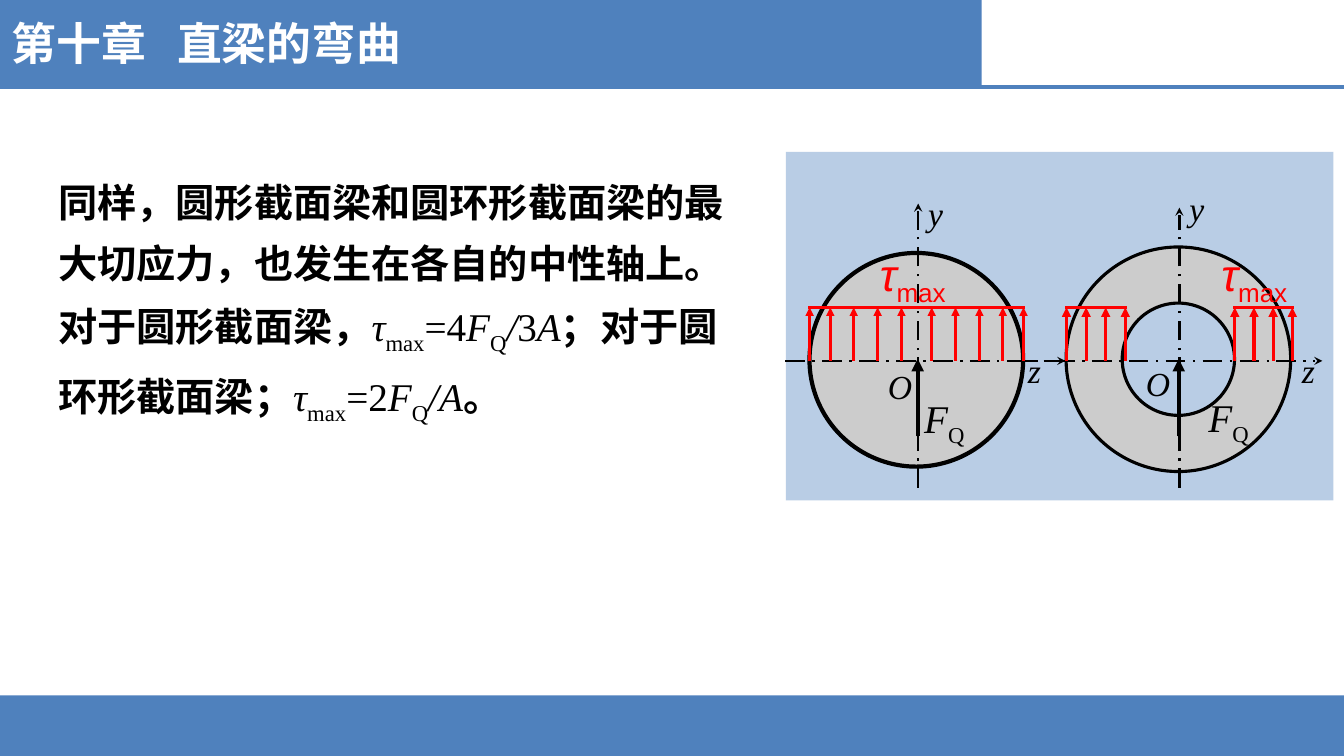
from dataclasses import dataclass

from lxml import etree
from pptx import Presentation
from pptx.dml.color import RGBColor
from pptx.enum.dml import MSO_LINE
from pptx.enum.shapes import MSO_CONNECTOR, MSO_SHAPE
from pptx.enum.text import MSO_ANCHOR, PP_ALIGN
from pptx.oxml.ns import qn
from pptx.util import Pt

RECT, OVAL, DONUT = MSO_SHAPE.RECTANGLE, MSO_SHAPE.OVAL, MSO_SHAPE.DONUT
STRAIGHT = MSO_CONNECTOR.STRAIGHT
AXIS_DASH = MSO_LINE.LONG_DASH_DOT
TOP, MIDDLE = MSO_ANCHOR.TOP, MSO_ANCHOR.MIDDLE
LEFT, JUSTIFY = PP_ALIGN.LEFT, PP_ALIGN.JUSTIFY


@dataclass(frozen=True)
class Theme:
    """Colours, fonts and type sizes of the slide."""
    blue: str = "4F81BD"
    panel: str = "B9CDE5"
    section: str = "CCCCCC"
    black: str = "000000"
    white: str = "FFFFFF"
    stress: str = "FF0000"
    cjk: str = "Noto Sans CJK SC"
    serif: str = "Times New Roman"
    sans: str = "Arial"
    title: int = 32
    body: int = 28
    axis: int = 24


T = Theme()
TAU_MAX = [("τ", "i"), ("max", "s")]
FORCE = [("F", "i"), ("Q", "s")]
BODY = [
    ("同样，圆形截面梁和圆环形截面梁的最大切应力，也发生在各自的中性轴上。对于圆形截面梁，", "b"),
    *TAU_MAX, ("=4", ""), *FORCE, ("/", "i"), ("3", ""), ("A", "i"),
    ("；对于圆环形截面梁；", "b"),
    *TAU_MAX, ("=2", ""), *FORCE, ("/A", "i"), ("。", "b"),
]
AXIS_Y, STRESS_Y = 257.8, 219.6
CIRCLE_X = 654.7
CIRCLE_OFFSETS = (10.8, 27.8, 44.9, 61.6, 76.4)


def add_shape(s, kind, x, y, w, h, fill, weight=0):
    """Add a filled preset shape, outlined in black if a weight is given."""
    sp = s.shapes.add_shape(kind, Pt(x), Pt(y), Pt(w), Pt(h))
    sp.shadow.inherit = False
    sp.fill.solid()
    sp.fill.fore_color.rgb = RGBColor.from_string(fill)
    if weight:
        sp.line.color.rgb = RGBColor.from_string(T.black)
        sp.line.width = Pt(weight)
    else:
        sp.line.fill.background()
    return sp


def add_line(s, start, end, color, weight, head=None, dash=None):
    """Add a straight line with an optional arrowhead and dash."""
    cx = s.shapes.add_connector(STRAIGHT, *(Pt(v) for v in (*start, *end)))
    cx.line.color.rgb = RGBColor.from_string(color)
    cx.line.width = Pt(weight)
    if dash:
        cx.line.dash_style = dash
    if head:
        etree.SubElement(cx.line._get_or_add_ln(), qn("a:tailEnd"), type=head)
    etree.SubElement(cx._element.spPr, qn("a:effectLst"))


def add_run(p, text, style, font, size, color):
    """Add a run; style is b bold, i italic, s subscript or empty."""
    r = p.add_run()
    r.text = text
    r.font.name = font
    r.font.size = Pt(size)
    r.font.bold = style == "b"
    r.font.italic = style == "i"
    r.font.color.rgb = RGBColor.from_string(color)
    rpr = r.font._element
    etree.SubElement(rpr, qn("a:ea"), typeface=T.cjk)
    if style == "s":
        rpr.set("baseline", "-25000")


def add_text(s, x, y, w, h, runs, font, size, color, align=JUSTIFY,
             anchor=TOP, spacing=None, tab=None):
    """Add a text box holding one paragraph of styled runs."""
    tf = s.shapes.add_textbox(Pt(x), Pt(y), Pt(w), Pt(h)).text_frame
    tf.word_wrap = True
    tf.vertical_anchor = anchor
    p = tf.paragraphs[0]
    p.alignment = align
    if spacing:
        p.line_spacing = spacing
    if tab:
        tabs = etree.SubElement(p._p.get_or_add_pPr(), qn("a:tabLst"))
        etree.SubElement(tabs, qn("a:tab"), pos=str(Pt(tab)), algn="l")
    for text, style in runs:
        add_run(p, text, style, font, size, color)


def add_label(s, x, y, runs, size=T.axis):
    """Add a black serif label of the diagram."""
    add_text(s, x, y, 60, 50, runs, T.serif, size, T.black)


def add_axes(s, x, top, left, right):
    """Add the vertical and horizontal axes of a section."""
    add_line(s, (x, 348.5), (x, top), T.black, 1.75, "stealth", AXIS_DASH)
    add_line(s, (left, AXIS_Y), (right, AXIS_Y), T.black, 1.75, "stealth", AXIS_DASH)


def add_stress(s, xs, weight):
    """Add a row of stress arrows joined by a line at their tips."""
    for x in xs:
        add_line(s, (x, AXIS_Y), (x, STRESS_Y), T.stress, weight, "triangle")
    add_line(s, (xs[0] - 1, STRESS_Y), (xs[-1] + 1, STRESS_Y), T.stress, 2)


def add_frame(s):
    """Add the header, footer and chapter title."""
    add_shape(s, RECT, 0, 496.8, 960, 43.2, T.blue)
    add_shape(s, RECT, 0, 0, 701.3, 62, T.blue)
    add_line(s, (0, 61.9), (960, 61.9), T.blue, 3)
    add_text(s, 1.4, 7.2, 320, 46, [("第十章\t直梁的弯曲", "b")], T.cjk, T.title,
             T.white, LEFT, MIDDLE, tab=118)


def add_diagram(s):
    """Add the round and annular sections with their shear stresses."""
    add_shape(s, RECT, 561.4, 108.5, 391, 249, T.panel)
    add_shape(s, OVAL, 578.2, 180.7, 152.6, 152.6, T.section, 3)
    add_axes(s, 655.9, 145.4, 561, 761)
    ring = add_shape(s, DONUT, 761.5, 176.4, 160.4, 160.4, T.section, 2.25)
    ring.adjustments[0] = 0.25
    add_axes(s, 842.4, 148.3, 727.2, 944.6)

    for x, y, name in ((727.2, 246.2, "z"), (922.8, 246.2, "z"),
                       (655.9, 133.9, "y"), (842.4, 131, "y"),
                       (627.1, 257.8, "O"), (811.4, 255.6, "O")):
        add_label(s, x, y, [(name, "i")])
    for x, y in ((653, 277.9), (856.1, 277.2)):
        add_label(s, x, y, FORCE, T.body)

    add_stress(s, [CIRCLE_X - d for d in reversed(CIRCLE_OFFSETS)]
               + [CIRCLE_X + d for d in CIRCLE_OFFSETS], 2)
    for first, step in ((761.8, 14), (882, 13.7)):
        add_stress(s, [first + i * step for i in range(4)], 2.25)
    for x in (621.4, 865.4):
        add_text(s, x, 172.8, 72, 44, TAU_MAX, T.sans, T.title, T.stress)
    for x in (655.5, 842):
        add_line(s, (x, 311.8), (x, 256.3), T.black, 3, "triangle")


def main():
    """Build and save the slide."""
    prs = Presentation()
    prs.slide_width, prs.slide_height = Pt(960), Pt(540)
    s = prs.slides.add_slide(prs.slide_layouts[6])
    add_frame(s)
    add_text(s, 34.6, 113.8, 507.6, 179.3, BODY, T.serif, T.body, T.black,
             LEFT, spacing=1.3)
    add_diagram(s)
    prs.save("out.pptx")


if __name__ == "__main__":
    main()
